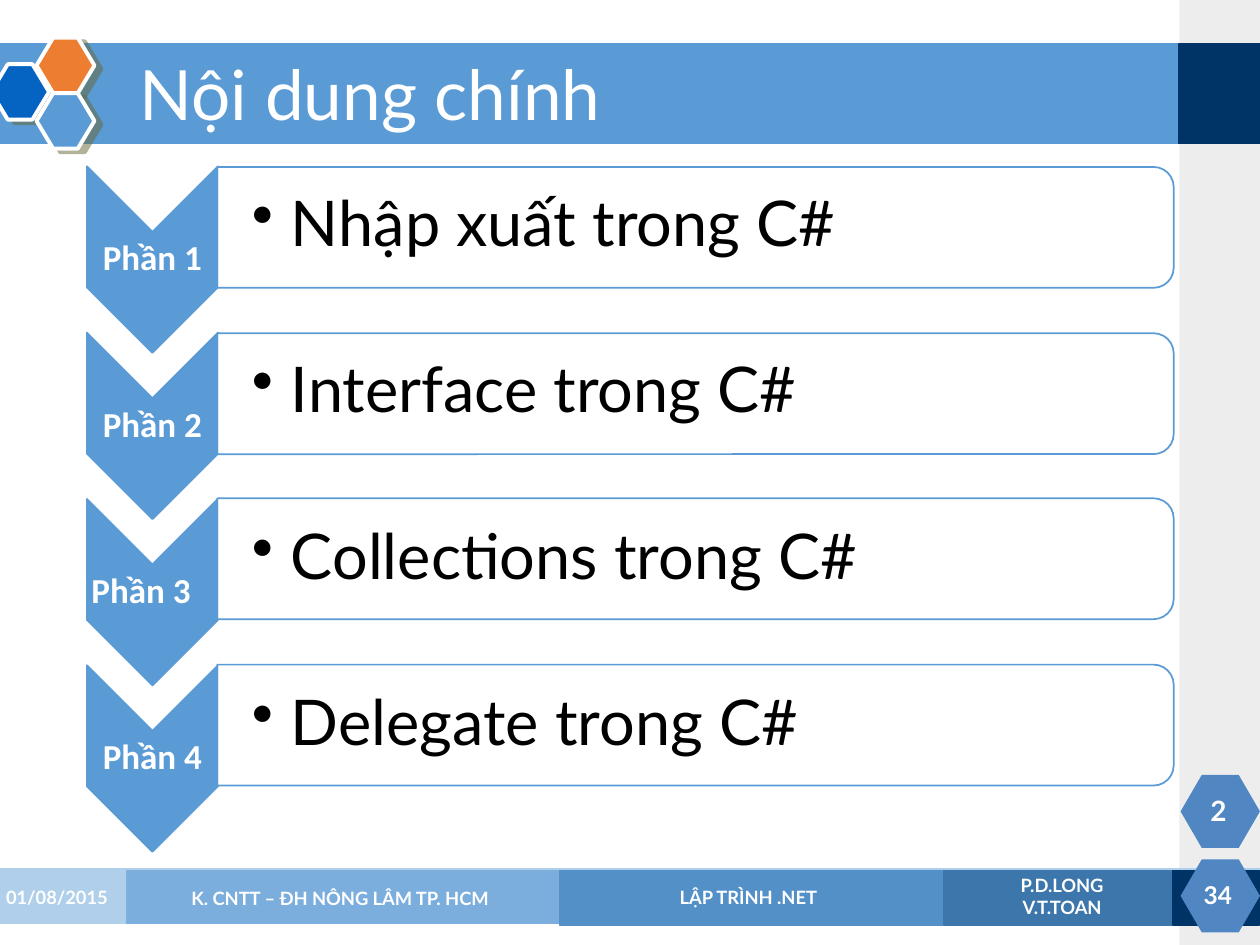
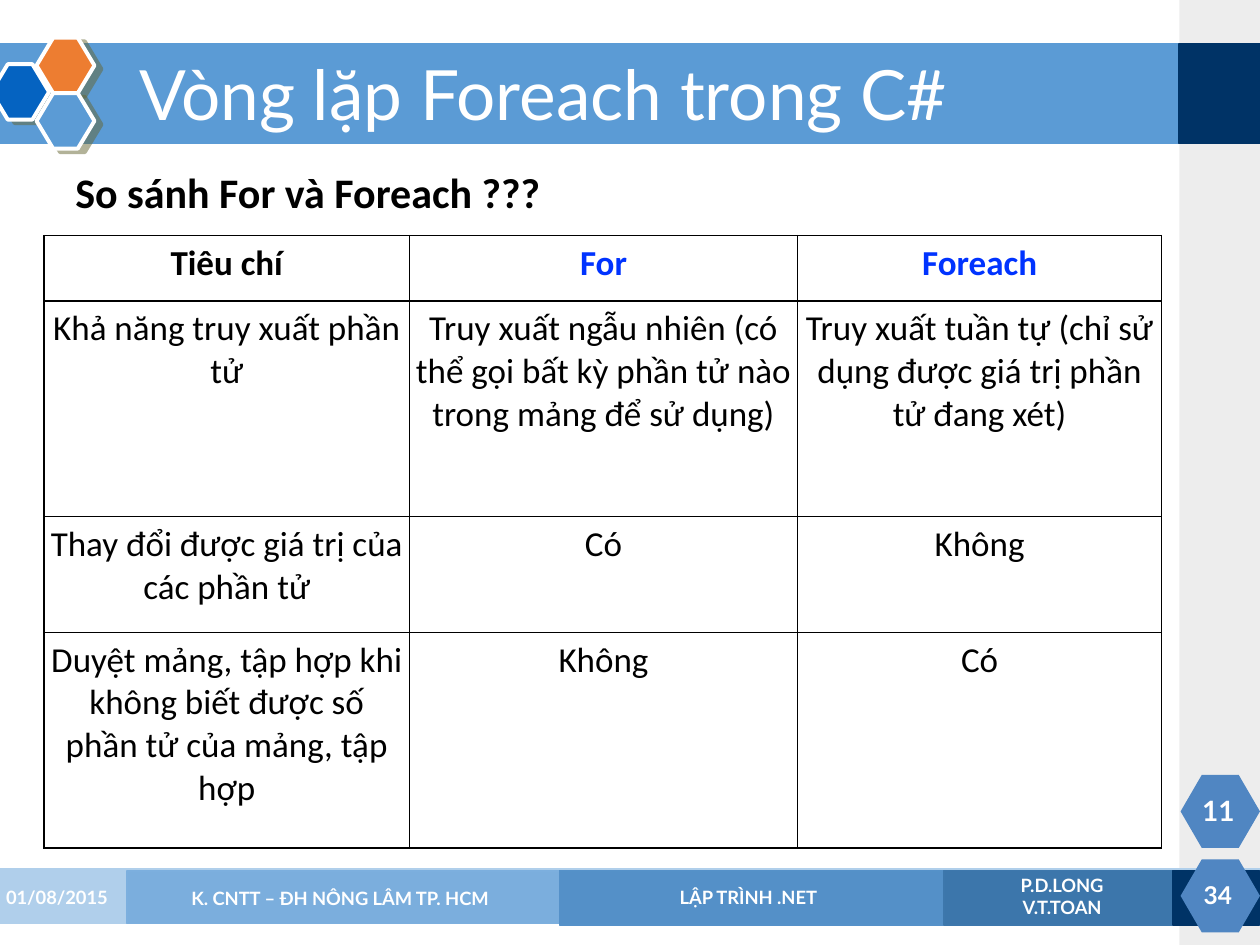
"""Build two C# lesson slides: the outline and a comparison of for and foreach."""
from dataclasses import dataclass

from lxml import etree
from pptx import Presentation
from pptx.dml.color import RGBColor
from pptx.enum.shapes import MSO_SHAPE
from pptx.enum.text import MSO_ANCHOR, PP_ALIGN
from pptx.oxml.ns import qn
from pptx.util import Emu, Pt

RECT, HEXAGON = MSO_SHAPE.RECTANGLE, MSO_SHAPE.HEXAGON
CHEVRON, ROUND_BAR = MSO_SHAPE.CHEVRON, MSO_SHAPE.ROUND_2_SAME_RECTANGLE
LEFT, CENTER = PP_ALIGN.LEFT, PP_ALIGN.CENTER
TOP, MIDDLE = MSO_ANCHOR.TOP, MSO_ANCHOR.MIDDLE
PX = 9144


@dataclass(frozen=True)
class Theme:
    """Colours, fonts and type sizes."""
    blue: str = "5B9BD5"
    navy: str = "003366"
    royal: str = "0563C1"
    orange: str = "ED7D31"
    badge: str = "5086C2"
    side: str = "A7A7A7"
    shadow: str = "666633"
    link: str = "0033FF"
    white: str = "FFFFFF"
    black: str = "000000"
    font: str = "Lato"
    body_font: str = "Calibri"
    title: float = 39.6
    topic: float = 36
    heading: float = 24
    body: float = 20
    page: float = 16
    total: float = 14
    footer: float = 10.5


T = Theme()

OUTLINE_TITLE = "Nội dung chính"
PARTS = [
    ("Phần 1", "Nhập xuất trong C#", 0),
    ("Phần 2", "Interface trong C#", 0),
    ("Phần 3", "Collections trong C#", -9),
    ("Phần 4", "Delegate trong C#", 0),
]
PART_TOP, PART_STEP = 132, 132

COMPARE_TITLE = "Vòng lặp Foreach trong C#"
COMPARE_HEADING = "So sánh For và Foreach ???"
COMPARISON = [
    ("Tiêu chí", "For", "Foreach"),
    ("Khả năng truy xuất phần tử",
     "Truy xuất ngẫu nhiên (có thể gọi bất kỳ phần tử nào trong mảng để sử dụng)",
     "Truy xuất tuần tự (chỉ sử dụng được giá trị phần tử đang xét)"),
    ("Thay đổi được giá trị của các phần tử", "Có", "Không"),
    ("Duyệt mảng, tập hợp khi không biết được số phần tử của mảng, tập hợp",
     "Không", "Có"),
]
COL_WIDTHS = [290, 308, 289]
ROW_HEIGHTS = [52, 171, 92, 171]

FOOTER_BANDS = [
    ((-2, 690, 1002, 43), "7CAFDE", 60, "B0CFEB"),
    ((101, 691, 897, 42), "478FD1", 50, "7CAFDE"),
    ((444, 691, 556, 43), "2E74B4", 50, "5591C9"),
    ((749, 691, 250, 43), "255D8F", 50, "3D77AC"),
]
FOOTER_TEXTS = [
    ((-5, 692, 110, 40), "01/08/2015", LEFT),
    ((101, 693, 338, 40), "K. CNTT – ĐH NÔNG LÂM TP. HCM", CENTER),
    ((446, 698, 296, 28), "LẬP TRÌNH .NET", CENTER),
    ((755, 691, 176, 40), "P.D.LONG\nV.T.TOAN", CENTER),
]
TITLE_BANDS = [((-2, 35, 938, 79), T.blue), ((936, 35, 64, 79), T.navy)]
EMBLEM = [(-7, 51, T.royal), (29, 30, T.orange), (29, 74, T.blue)]
BADGE_TOPS = [682, 615]
TOTAL_PAGES = "34"


def emu(box):
    return [Emu(v * PX) for v in box]


def rgb(color):
    return RGBColor.from_string(color)


def add_xml(parent, tag, **attrs):
    return etree.SubElement(parent, qn(tag), {k: str(v) for k, v in attrs.items()})


def add_box(s, kind, box, fill, line=None, width=1, alpha=100, rotation=0):
    x, y, w, h = box
    if rotation == 90:
        x, y, w, h = x + (w - h) / 2, y + (h - w) / 2, h, w
    sp = s.shapes.add_shape(kind, *emu((int(x), int(y), w, h)))
    sp.rotation = rotation
    sp.shadow.inherit = False
    sp.fill.solid()
    sp.fill.fore_color.rgb = rgb(fill)
    if alpha < 100:
        color = sp._element.spPr.find(".//" + qn("a:srgbClr"))
        add_xml(color, "a:alpha", val=alpha * 1000)
    if line:
        sp.line.color.rgb = rgb(line)
        sp.line.width = Pt(width)
    else:
        sp.line.fill.background()
    return sp


def add_shadow(sp):
    effects = sp._element.spPr.find(qn("a:effectLst"))
    outer = add_xml(effects, "a:outerShdw", blurRad=0, dist=Pt(4.5),
                    dir=27 * 60000, algn="ctr", rotWithShape=0)
    color = add_xml(outer, "a:srgbClr", val=T.shadow)
    add_xml(color, "a:alpha", val=50000)


def style_text(tf, size, color, font, bold, align, spacing=None):
    for p in tf.paragraphs:
        p.alignment = align
        if spacing:
            p.line_spacing = spacing
        for r in p.runs:
            r.font.size = Pt(size)
            r.font.name = font
            r.font.bold = bold
            r.font.color.rgb = rgb(color)


def set_margins(target, left, top, right, bottom):
    target.margin_left, target.margin_top, target.margin_right, target.margin_bottom = emu(
        (left, top, right, bottom))


def add_text(s, box, text, size, color=T.white, font=T.font, bold=False,
             align=LEFT, anchor=MIDDLE, margins=(10, 5, 10, 5), spacing=None):
    tf = s.shapes.add_textbox(*emu(box)).text_frame
    tf.word_wrap = True
    tf.vertical_anchor = anchor
    set_margins(tf, *margins)
    tf.text = text
    style_text(tf, size, color, font, bold, align, spacing)
    return tf


def add_frame(prs, title, page):
    s = prs.slides.add_slide(prs.slide_layouts[6])
    add_box(s, RECT, (936, 0, 64, 751), T.side, alpha=20)
    for box, fill, alpha, line in FOOTER_BANDS:
        add_box(s, RECT, box, fill, line, alpha=alpha)
    for box, fill in TITLE_BANDS:
        add_box(s, RECT, box, fill, fill)
    for x, y, fill in EMBLEM:
        sp = add_box(s, HEXAGON, (x, y, 46, 44), fill, T.white, 2.25)
        sp.adjustments[0] = 0.3
        add_shadow(sp)
    add_box(s, RECT, (931, 691, 68, 43), T.navy, T.navy)
    for y in BADGE_TOPS:
        sp = add_box(s, HEXAGON, (937, y, 63, 58), T.badge)
        sp.adjustments[0] = 0.29
    add_text(s, (944, 690, 45, 40), TOTAL_PAGES, T.total, bold=True, align=CENTER)
    add_text(s, (937, 623, 60, 40), page, T.page, bold=True, align=CENTER)
    for box, text, align in FOOTER_TEXTS:
        add_text(s, box, text, T.footer, bold=True, align=align)
    add_text(s, (101, 40, 830, 75), title, T.title, spacing=0.9)
    return s


def add_bullet(p):
    pPr = p._p.get_or_add_pPr()
    pPr.set("marL", str(31 * PX))
    pPr.set("indent", str(-31 * PX))
    add_xml(pPr, "a:buChar", char="•")


def add_part(s, top, label, topic, shift):
    add_box(s, CHEVRON, (69, top, 104, 148), T.blue, T.blue, rotation=90)
    add_text(s, (69 + shift, top + 52, 104, 44), label, T.body, font=T.body_font,
             bold=True, align=CENTER, margins=(1, 1, 1, 1), spacing=0.9)
    add_box(s, ROUND_BAR, (173, top, 759, 96), T.white, T.blue, alpha=90, rotation=90)
    tf = add_text(s, (172, top + 4, 754, 87), topic, T.topic, T.black,
                  margins=(28, 3, 3, 3), spacing=0.9)
    add_bullet(tf.paragraphs[0])


def add_borders(cell):
    tcPr = cell._tc.get_or_add_tcPr()
    for side in ("a:lnL", "a:lnR", "a:lnT", "a:lnB"):
        ln = add_xml(tcPr, side, w=Pt(1))
        add_xml(add_xml(ln, "a:solidFill"), "a:srgbClr", val=T.black)


def add_comparison(s):
    box = (35, 187, sum(COL_WIDTHS), sum(ROW_HEIGHTS))
    table = s.shapes.add_table(len(ROW_HEIGHTS), len(COL_WIDTHS), *emu(box)).table
    table.first_row = table.horz_banding = False
    for col, width in zip(table.columns, emu(COL_WIDTHS)):
        col.width = width
    for row, height in zip(table.rows, emu(ROW_HEIGHTS)):
        row.height = height
    for i, texts in enumerate(COMPARISON):
        for j, text in enumerate(texts):
            cell = table.cell(i, j)
            add_borders(cell)
            cell.fill.background()
            set_margins(cell, 5, 5, 5, 5)
            cell.text = text
            color = T.link if i == 0 and j > 0 else T.black
            style_text(cell.text_frame, T.body, color, T.body_font, i == 0, CENTER)


def main():
    prs = Presentation()
    prs.slide_width, prs.slide_height = emu((1000, 750))

    s = add_frame(prs, OUTLINE_TITLE, "2")
    for i, part in enumerate(PARTS):
        add_part(s, PART_TOP + i * PART_STEP, *part)

    s = add_frame(prs, COMPARE_TITLE, "11")
    add_comparison(s)
    add_text(s, (50, 127, 493, 50), COMPARE_HEADING, T.heading, T.black,
             T.body_font, bold=True, anchor=TOP)

    prs.save("out.pptx")


if __name__ == "__main__":
    main()
